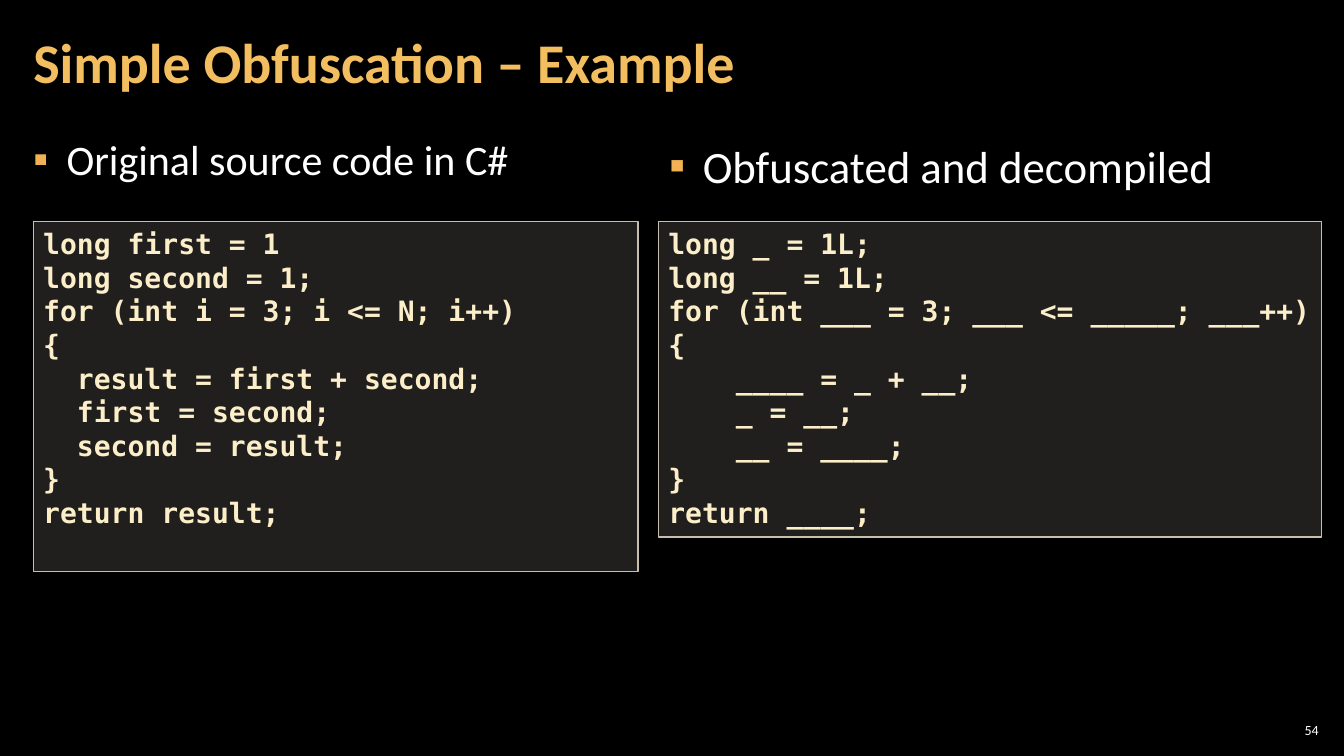
from pptx import Presentation
from pptx.dml.color import RGBColor
from pptx.enum.shapes import MSO_SHAPE as Shape
from pptx.enum.text import MSO_ANCHOR as Anchor, MSO_AUTO_SIZE as AutoSize, PP_ALIGN as Align
from pptx.oxml import parse_xml
from pptx.oxml.ns import nsdecls, qn
from pptx.util import Pt

PX = 9144
COLORS = {
    "background": "000000",
    "title": "F3BE60",
    "bullet": "F2B254",
    "body": "FFFFFF",
    "panel": "D9D5C7",
    "border": "C7BFAC",
    "code": "FBEEC9",
}
PLACEHOLDER_INSETS = (12, 4, 12, 4)
CODE_INSETS = (10, 5, 10, 5)
NUMBER_INSETS = (4, 4, 4, 4)

SOURCE_CODE = """long first = 1
long second = 1;
for (int i = 3; i <= N; i++)
{
  result = first + second;
  first = second;
  second = result;
}
return result;"""

DECOMPILED_CODE = """long _ = 1L;
long __ = 1L;
for (int ___ = 3; ___ <= _____; ___++)
{
    ____ = _ + __;
    _ = __;
    __ = ____;
}
return ____;"""


def rgb(name):
    return RGBColor.from_string(COLORS[name])


def px(lengths):
    return [length * PX for length in lengths]


def assign(target, values):
    for key, value in values.items():
        setattr(target, key, value)


def place(shape, box):
    assign(shape, dict(zip(("left", "top", "width", "height"), px(box))))


def setup_frame(frame, insets, anchor):
    sides = ("margin_left", "margin_top", "margin_right", "margin_bottom")
    assign(frame, dict(zip(sides, px(insets))))
    assign(frame, {"word_wrap": True, "auto_size": AutoSize.NONE, "vertical_anchor": anchor})


def write(paragraph, text, size, color, font="Calibri", bold=False, **layout):
    assign(paragraph, {"alignment": Align.LEFT, "space_before": Pt(0), **layout})
    run = paragraph.add_run()
    run.text = text
    assign(run.font, {"size": Pt(size), "name": font, "bold": bold})
    run.font.color.rgb = rgb(color)


def add_bullet(paragraph, indent):
    properties = paragraph._p.get_or_add_pPr()
    properties.set("marL", str(indent * PX))
    properties.set("indent", str(-indent * PX))
    for xml in (
        f'<a:buClr {nsdecls("a")}><a:srgbClr val="{COLORS["bullet"]}"/></a:buClr>',
        f'<a:buFont {nsdecls("a")} typeface="Calibri"/>',
        f'<a:buChar {nsdecls("a")} char="▪"/>',
    ):
        properties.append(parse_xml(xml))


def fill_title(title, box, text):
    place(title, box)
    setup_frame(title.text_frame, PLACEHOLDER_INSETS, Anchor.MIDDLE)
    write(title.text_frame.paragraphs[0], text, 40, "title", bold=True, line_spacing=0.9)


def fill_heading(heading, box, text, size):
    place(heading, box)
    setup_frame(heading.text_frame, PLACEHOLDER_INSETS, Anchor.TOP)
    paragraph = heading.text_frame.paragraphs[0]
    add_bullet(paragraph, 33)
    write(paragraph, text, size, "body", line_spacing=1.05, space_after=Pt(6))


def add_code_panel(slide, box, code):
    panel = slide.shapes.add_shape(Shape.RECTANGLE, *px(box))
    panel.shadow.inherit = False
    panel.fill.solid()
    panel.fill.fore_color.rgb = rgb("panel")
    panel_color = panel.fill._xPr.find(qn("a:solidFill"))[0]
    panel_color.append(parse_xml(f'<a:alpha {nsdecls("a")} val="15000"/>'))
    panel.line.color.rgb = rgb("border")
    panel.line.width = Pt(1)
    frame = panel.text_frame
    setup_frame(frame, CODE_INSETS, Anchor.TOP)
    for number, line in enumerate(code.splitlines()):
        paragraph = frame.add_paragraph() if number else frame.paragraphs[0]
        write(paragraph, line, 20, "code", "DejaVu Sans Mono", True)


def add_slide_number(slide, box, number):
    frame = slide.shapes.add_textbox(*px(box)).text_frame
    setup_frame(frame, NUMBER_INSETS, Anchor.MIDDLE)
    write(frame.paragraphs[0], number, 10, "body", alignment=Align.RIGHT)


def build_comparison_slide(deck):
    slide = deck.slides.add_slide(deck.slide_layouts.get_by_name("Two Content"))
    slide.background.fill.solid()
    slide.background.fill.fore_color.rgb = rgb("background")
    title, source_heading, decompiled_heading = slide.placeholders
    fill_title(title, (21, 4, 1047, 121), "Simple Obfuscation – Example")
    fill_heading(source_heading, (21, 126, 600, 90), "Original source code in C#", 30)
    fill_heading(decompiled_heading, (652, 131, 600, 85), "Obfuscated and decompiled", 32)
    add_code_panel(slide, (33, 220, 600, 347), SOURCE_CODE)
    add_code_panel(slide, (653, 220, 658, 313), DECOMPILED_CODE)
    add_slide_number(slide, (1265, 714, 47, 21), "54")


def main():
    deck = Presentation()
    assign(deck, {"slide_width": 1333 * PX, "slide_height": 750 * PX})
    build_comparison_slide(deck)
    deck.save("out.pptx")


if __name__ == "__main__":
    main()
